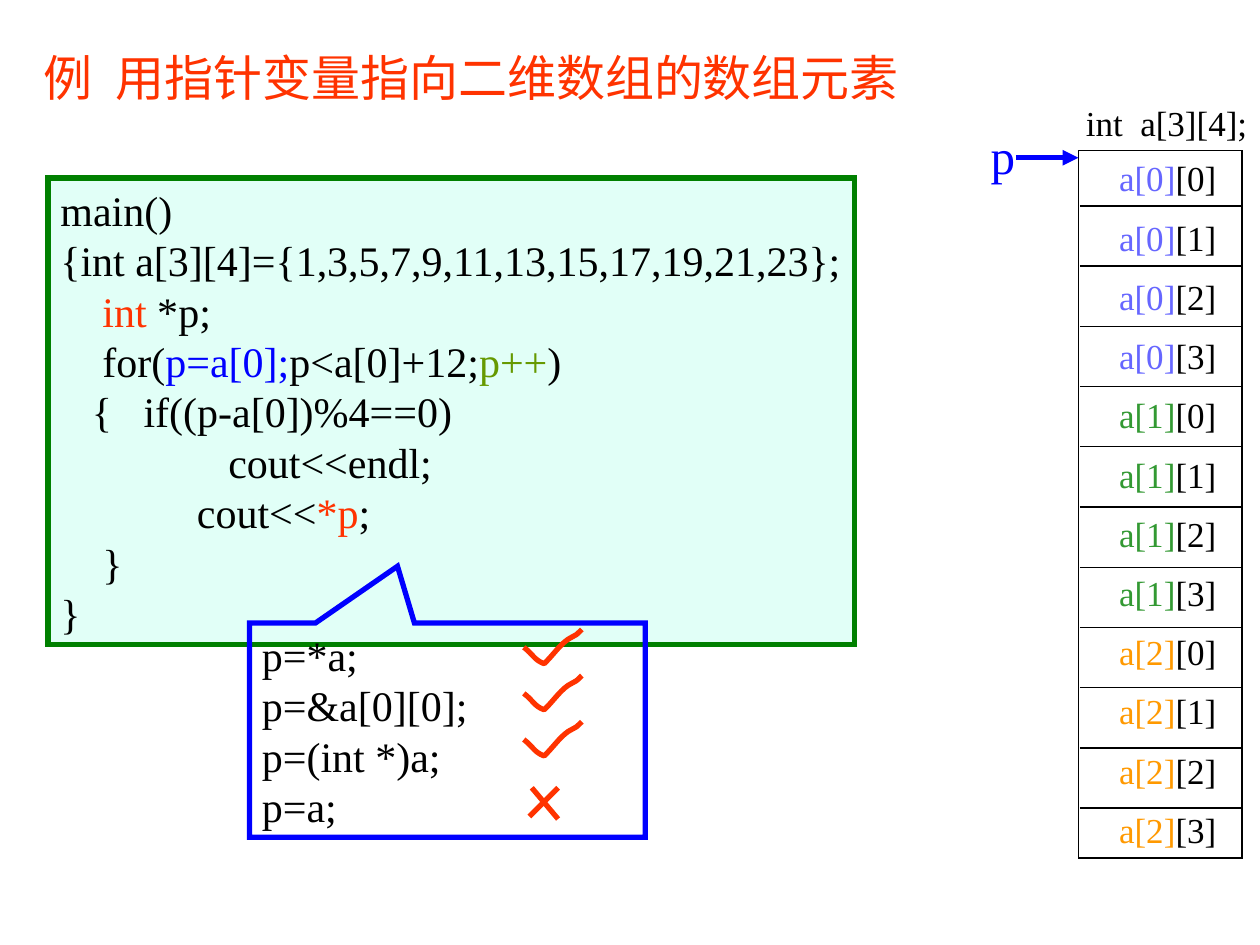
from lxml.etree import SubElement
from pptx import Presentation
from pptx.dml.color import RGBColor
from pptx.enum.shapes import MSO_CONNECTOR, MSO_SHAPE
from pptx.enum.text import MSO_ANCHOR, MSO_AUTO_SIZE, PP_ALIGN
from pptx.oxml.ns import qn
from pptx.util import Cm, Pt

COLORS = {
    "black": "000000", "red": "FF3300", "blue": "0000FF", "olive": "669900",
    "green": "008000", "mint": "E1FFF7",
    "row0": "6666FF", "row1": "339933", "row2": "FF9900",
}
FONT = "Times New Roman"

# Content: a paragraph is a list of (text, colour) runs
TITLE = [[("例\t用指针变量指向二维数组的数组元素", "red")]]
CODE = [
    [("main()", "black")],
    [("{int a[3][4]={1,3,5,7,9,11,13,15,17,19,21,23};", "black")],
    [("   ", "black"), (" int", "red"), (" *p;", "black")],
    [("    for(", "black"), ("p=a[0];", "blue"), ("p<a[0]+12;", "black"),
     ("p++", "olive"), (")", "black")],
    [("   {   if((p-a[0])%4==0)", "black")],
    [("                cout<<endl;", "black")],
    [("\t cout<<", "black"), ("*p", "red"), (";", "black")],
    [("    }", "black")],
    [("}", "black")],
]
ASSIGNMENTS = [[(t, "black")] for t in ("p=*a;", "p=&a[0][0];", "p=(int *)a;", "p=a;")]
DECLARATION = [[("int  a[3][4];", "black")]]
ROWS, COLS = 3, 4

# Tick outline in cm: a start, then cubic curves
TICK_START = (0, 0.36)
TICK_CURVES = [
    ((0.2, 0.51), (0.2, 0.61), (0.41, 0.69)),
    ((0.58, 0.53), (0.71, 0.33), (0.89, 0.2)),
    ((1.09, 0.08), (1.02, 0.15), (1.17, 0)),
]
TICK_X, TICK_Y, TICK_PITCH, TICK_COUNT = 10.56, 12.69, 0.93, 3
CROSS = [(10.72, 15.88, 11.25, 16.51), (11.25, 15.88, 10.67, 16.46)]

# Memory column in cm: first and last tops give the pitches
CELLS = ROWS * COLS
ARRAY_X, ARRAY_Y, ARRAY_W, ARRAY_H = 21.74, 3.04, 3.3, 14.26
LABEL_X, LABEL_PITCH = 22.31, (16.17 - ARRAY_Y) / (CELLS - 1)
RULE_Y, RULE_PITCH = 4.15, (16.29 - 4.15) / (CELLS - 2)


def rgb(name):
    return RGBColor.from_string(COLORS[name])


def write(sp, paragraphs, size=24, align=PP_ALIGN.LEFT, anchor=MSO_ANCHOR.TOP,
          wrap=False, grow=True, tab=None):
    tf = sp.text_frame
    tf.word_wrap = wrap
    tf.auto_size = MSO_AUTO_SIZE.SHAPE_TO_FIT_TEXT if grow else MSO_AUTO_SIZE.NONE
    tf.vertical_anchor = anchor
    for i, runs in enumerate(paragraphs):
        p = tf.add_paragraph() if i else tf.paragraphs[0]
        p.alignment = align
        p.line_spacing = Pt(size * 1.2)
        if tab:
            tabs = SubElement(p._p.get_or_add_pPr(), qn("a:tabLst"))
            SubElement(tabs, qn("a:tab"), pos=str(Cm(tab)), algn="l")
        for text, color in runs:
            r = p.add_run()
            r.text = text
            r.font.name, r.font.size = FONT, Pt(size)
            r.font.color.rgb = rgb(color)


def outline(sp, color, width, fill=None):
    sp.shadow.inherit = False
    if fill:
        sp.fill.solid()
        sp.fill.fore_color.rgb = rgb(fill)
    else:
        sp.fill.background()
    sp.line.color.rgb = rgb(color)
    sp.line.width = Pt(width)


def add_box(kind, x, y, w, h, color, width, fill=None):
    sp = shapes.add_shape(kind, Cm(x), Cm(y), Cm(w), Cm(h))
    outline(sp, color, width, fill)
    SubElement(sp.line._get_or_add_ln(), qn("a:miter"), lim="800000")
    return sp


def add_label(x, y, w, h, paragraphs, **fmt):
    write(shapes.add_textbox(Cm(x), Cm(y), Cm(w), Cm(h)), paragraphs, **fmt)


def add_line(x1, y1, x2, y2, color="black", width=0.75, arrow=False):
    line = shapes.add_connector(MSO_CONNECTOR.STRAIGHT, Cm(x1), Cm(y1), Cm(x2), Cm(y2))
    line.line.color.rgb = rgb(color)
    line.line.width = Pt(width)
    if arrow:
        SubElement(line.line._get_or_add_ln(), qn("a:tailEnd"), type="triangle")
    SubElement(line._element.spPr, qn("a:effectLst"))


def tick_points(steps=8):
    start, points = TICK_START, []
    for c1, c2, end in TICK_CURVES:
        for t in (n / steps for n in range(1, steps + 1)):
            u = 1 - t
            points.append(tuple(
                u**3 * a + 3 * u * u * t * b + 3 * u * t * t * c + t**3 * d
                for a, b, c, d in zip(start, c1, c2, end)))
        start = end
    return points


def add_tick(x, y):
    builder = shapes.build_freeform(
        Cm(x + TICK_START[0]), Cm(y + TICK_START[1]), scale=1.0)
    builder.add_line_segments(
        [(Cm(x + dx), Cm(y + dy)) for dx, dy in tick_points()], close=False)
    outline(builder.convert_to_shape(), "red", 3)


prs = Presentation()
prs.slide_width, prs.slide_height = Cm(25.4), Cm(19.05)
slide = prs.slides.add_slide(prs.slide_layouts[5])
shapes = slide.shapes

# Title
title = shapes.title
title.left, title.top, title.width, title.height = Cm(0.63), Cm(0.81), Cm(18.72), Cm(1.47)
write(title, TITLE, size=28, anchor=MSO_ANCHOR.MIDDLE, wrap=True, grow=False, tab=1.45)

# Program
write(add_box(MSO_SHAPE.RECTANGLE, 0.97, 3.59, 16.26, 9.4, "green", 3, "mint"),
      CODE, tab=2.54)

# Callout with the assignments, ticked or crossed
callout = add_box(MSO_SHAPE.RECTANGULAR_CALLOUT, 5.03, 12.56, 7.98, 4.32, "blue", 3)
callout.adjustments[0], callout.adjustments[1] = -0.126, -0.765
write(callout, ASSIGNMENTS, anchor=MSO_ANCHOR.MIDDLE, wrap=True)
for n in range(TICK_COUNT):
    add_tick(TICK_X, TICK_Y + n * TICK_PITCH)
for stroke in CROSS:
    add_line(*stroke, color="red", width=3)

# Array in memory
add_label(21.64, 1.93, 3.76, 1.12, DECLARATION, size=20)
add_box(MSO_SHAPE.RECTANGLE, ARRAY_X, ARRAY_Y, ARRAY_W, ARRAY_H, "black", 0.75)
for n in range(CELLS):
    row, col = divmod(n, COLS)
    add_label(LABEL_X, ARRAY_Y + n * LABEL_PITCH, 2.6, 1.12,
              [[(f"a[{row}]", f"row{row}"), (f"[{col}]", "black")]], size=20)
    if n < CELLS - 1:
        y = RULE_Y + n * RULE_PITCH
        add_line(ARRAY_X + 0.03, y, ARRAY_X + ARRAY_W, y)

# Pointer
add_line(20.48, 3.18, ARRAY_X, 3.18, color="blue", width=3, arrow=True)
add_label(19.72, 2.4, 0.99, 1.45, [[("p", "blue")]], size=28,
          align=PP_ALIGN.CENTER, anchor=MSO_ANCHOR.MIDDLE)

prs.save("out.pptx")
